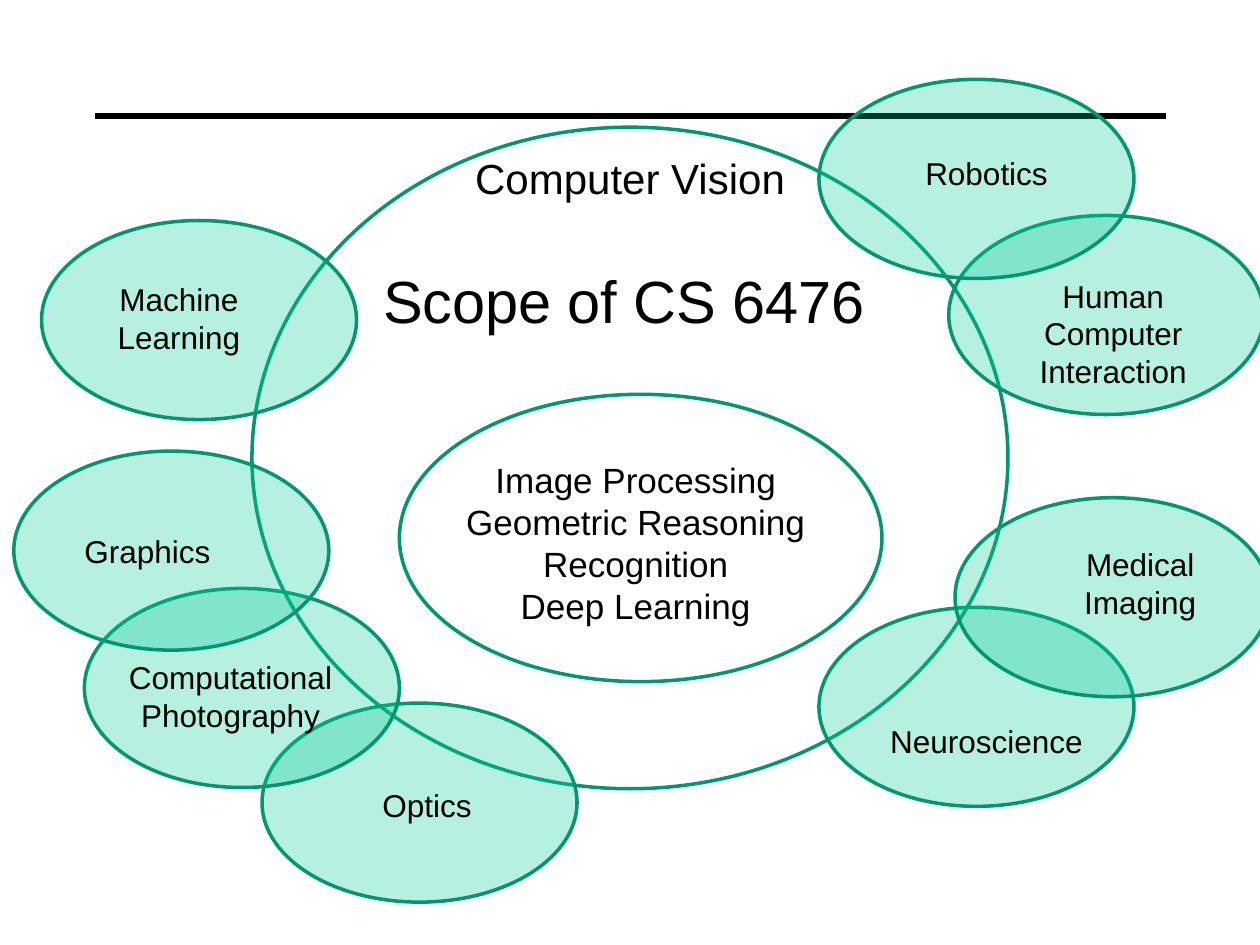
from lxml import etree
from pptx import Presentation
from pptx.dml.color import RGBColor
from pptx.enum.shapes import MSO_CONNECTOR as Link, MSO_SHAPE as Form
from pptx.enum.text import MSO_ANCHOR as Anchor, MSO_AUTO_SIZE as Fit, PP_ALIGN as Align
from pptx.oxml.ns import qn
from pptx.util import Inches, Pt

BLACK = RGBColor(0x00, 0x00, 0x00)
WHITE = RGBColor(0xFF, 0xFF, 0xFF)
MINT = RGBColor(0x00, 0xCC, 0x99)
GREEN = RGBColor(0x00, 0x97, 0x71)
FONT = "Arial"

# Left and top of each related field's oval
FIELDS = [(0.33, 1.75), (2.08, 5.58), (6.5, 4.82), (7.58, 3.95),
          (7.53, 1.71), (0.67, 4.67), (0.11, 3.58), (6.5, 0.63)]

# Name, then left, top, width and height of its label
LABELS = [
    ("Robotics", 6.83, 1.17, 2, 0.4),
    ("Neuroscience", 6.83, 5.68, 2, 0.4),
    ("Graphics", 0.17, 4.17, 2, 0.4),
    ("Computational Photography", 0.83, 5.17, 2, 0.71),
    ("Machine Learning", 0.42, 2.17, 2, 0.71),
    ("Medical Imaging", 8.06, 4.27, 1.98, 0.71),
    ("Human Computer Interaction", 7.76, 2.14, 2.15, 1.01),
    ("Optics", 2.39, 6.19, 2, 0.4),
]


def write(frame, text, size=18, align=Align.CENTER, anchor=Anchor.MIDDLE, fit=Fit.SHAPE_TO_FIT_TEXT):
    frame.word_wrap = True
    frame.auto_size = fit
    frame.vertical_anchor = anchor
    para = frame.paragraphs[0]
    para.text = text
    para.alignment = align
    font = para.runs[0].font
    for run in para.runs:
        font = run.font
        font.name, font.size = FONT, Pt(size)
        font.color.rgb = BLACK


def label(slide, text, x, y, w, h, **style):
    box = slide.shapes.add_textbox(Inches(x), Inches(y), Inches(w), Inches(h))
    write(box.text_frame, text, **style)


def oval(slide, x, y, w=2.5, h=1.58, fill=WHITE, alpha=None):
    shape = slide.shapes.add_shape(Form.OVAL, Inches(x), Inches(y), Inches(w), Inches(h))
    shape.shadow.inherit = False
    shape.fill.solid()
    shape.fill.fore_color.rgb = fill
    shape.line.color.rgb = GREEN
    shape.line.width = Pt(2)
    if alpha is not None:
        color = shape.element.spPr.find(qn("a:solidFill"))[0]
        etree.SubElement(color, qn("a:alpha")).set("val", str(alpha * 1000))


def rule(slide, x, y, end):
    line = slide.shapes.add_connector(Link.STRAIGHT, Inches(x), Inches(y), Inches(end), Inches(y))
    line.line.color.rgb = BLACK
    line.line.width = Pt(3)
    etree.SubElement(line.element.spPr, qn("a:effectLst"))


def head(slide, text, x, y, w, h):
    title = slide.shapes.title
    title.left, title.top = Inches(x), Inches(y)
    title.width, title.height = Inches(w), Inches(h)
    write(title.text_frame, text, size=34, align=Align.LEFT, fit=Fit.NONE)
    # Bring the title in front of the ovals drawn so far
    title.element.getparent().append(title.element)


def main():
    deck = Presentation()
    deck.slide_width, deck.slide_height = Inches(10), Inches(7.5)
    slide = deck.slides.add_slide(deck.slide_layouts[5])

    # Rule and main field
    rule(slide, 0.75, 0.92, 9.25)
    oval(slide, 2, 1.01, 6, 5.25)

    # Related fields that overlap it
    for x, y in FIELDS:
        oval(slide, x, y, fill=MINT, alpha=29)

    # Title and names
    head(slide, "Scope of CS 6476", 2.94, 1.75, 4.58, 1.25)
    label(slide, "Computer Vision", 3.5, 1.16, 3, 0.5, size=24, anchor=Anchor.TOP)
    for name, *place in LABELS:
        label(slide, name, *place)

    # Core topics
    oval(slide, 3.17, 3.13, 3.83, 2.28)
    topics = "Image Processing\nGeometric Reasoning\nRecognition\nDeep Learning"
    label(slide, topics, 3.42, 3.58, 3.25, 1.45, size=20)

    deck.save("out.pptx")


if __name__ == "__main__":
    main()
